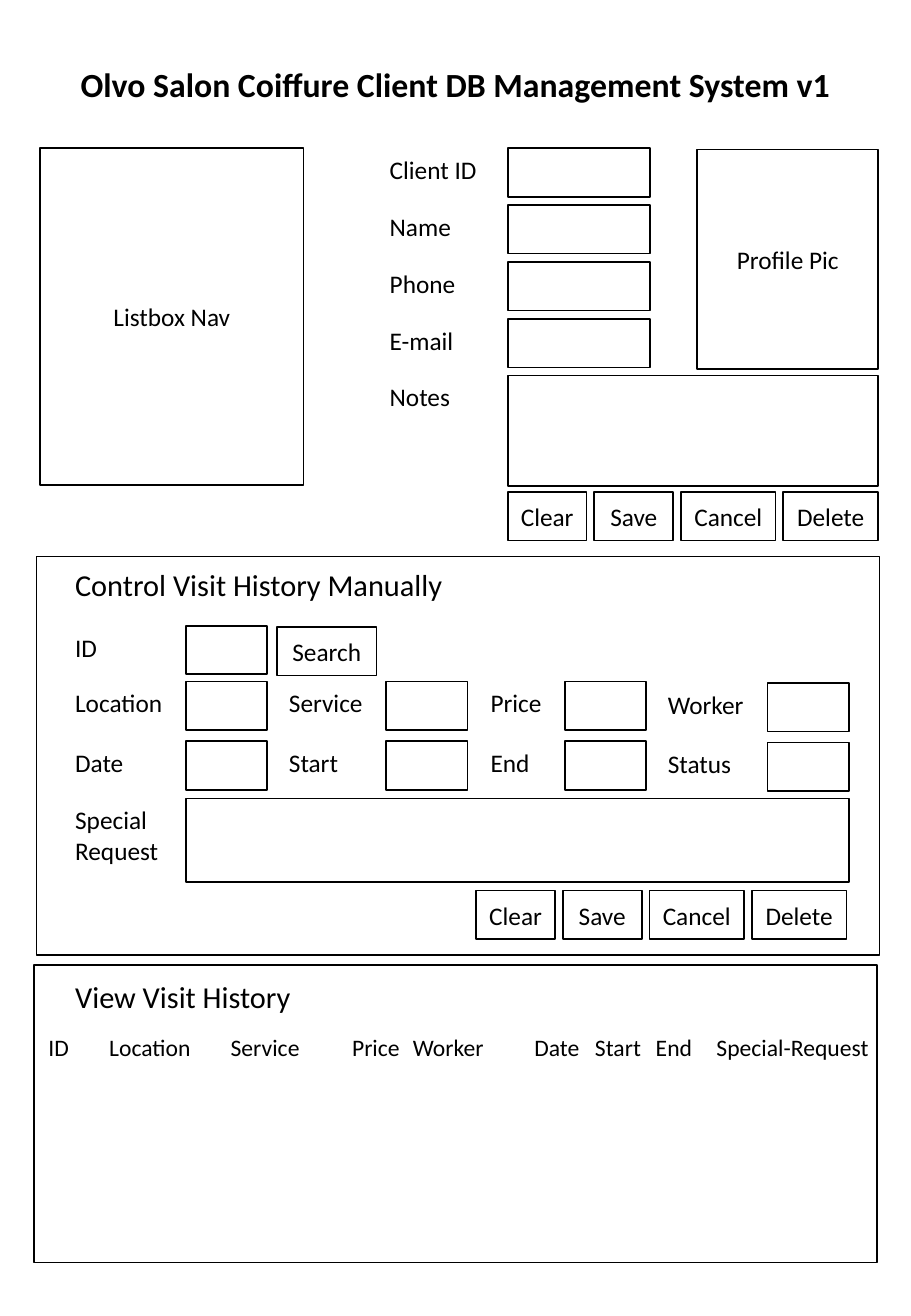
import pptx
import pptx.util
import pptx.dml.color
import pptx.enum.shapes
import pptx.enum.text


def color(value):
    return pptx.dml.color.RGBColor.from_string(value)


class Wireframe:
    """Draws form elements on a slide ruled in 75 columns and 108.3 rows."""

    font, ink, paper = "Calibri", "000000", "FFFFFF"
    columns, rows = 75, 108.3
    box_height, label_height = 4, 3.5

    def __init__(self, prs):
        self.cell_width = prs.slide_width / self.columns
        self.cell_height = prs.slide_height / self.rows
        self.s = prs.slides.add_slide(prs.slide_layouts[5])

    def place(self, x, y, width, height):
        return (round(x * self.cell_width), round(y * self.cell_height),
                round(width * self.cell_width), round(height * self.cell_height))

    def set_text(self, tf, text, size, bold=False, align=None):
        tf.text = text
        for p in tf.paragraphs:
            p.alignment = align
            for r in p.runs:
                r.font.name = self.font
                r.font.size = pptx.util.Pt(size)
                r.font.bold = bold
                r.font.color.rgb = color(self.ink)

    def title(self, text, x, y, width, height):
        sp = self.s.shapes.title
        sp.left, sp.top, sp.width, sp.height = self.place(x, y, width, height)
        tf = sp.text_frame
        self.set_text(tf, text, 20, True, pptx.enum.text.PP_ALIGN.CENTER)
        tf.word_wrap = False
        tf.auto_size = pptx.enum.text.MSO_AUTO_SIZE.NONE
        tf.vertical_anchor = pptx.enum.text.MSO_ANCHOR.MIDDLE

    def box(self, x, y, width, height=box_height, text="", filled=True):
        sp = self.s.shapes.add_shape(
            pptx.enum.shapes.MSO_SHAPE.RECTANGLE, *self.place(x, y, width, height))
        sp.shadow.inherit = False
        if filled:
            sp.fill.solid()
            sp.fill.fore_color.rgb = color(self.paper)
        else:
            sp.fill.background()
        sp.line.color.rgb = color(self.ink)
        sp.line.width = pptx.util.Pt(1)
        if text:
            tf = sp.text_frame
            self.set_text(tf, text, 15, align=pptx.enum.text.PP_ALIGN.CENTER)
            tf.vertical_anchor = pptx.enum.text.MSO_ANCHOR.MIDDLE
            tf.word_wrap = False

    def label(self, text, x, y, width, height=label_height, size=15):
        tf = self.s.shapes.add_textbox(*self.place(x, y, width, height)).text_frame
        self.set_text(tf, text, size)
        tf.word_wrap = False
        tf.auto_size = pptx.enum.text.MSO_AUTO_SIZE.SHAPE_TO_FIT_TEXT

    def buttons(self, x, y):
        for text, width in (("Clear", 6.5), ("Save", 6.5), ("Cancel", 7.8), ("Delete", 7.8)):
            self.box(x, y, width, text=text)
            x += width + 0.63


def draw_client(form):
    form.box(3.3, 12.2, 21.7, 27.7, "Listbox Nav")
    fields = (("Client ID", 9.3), ("Name", 7.1), ("Phone", 7.5), ("E-mail", 7.4))
    for i, (text, width) in enumerate(fields):
        y = 12.2 + 4.68 * i
        form.label(text, 31.1, y, width)
        form.box(41.8, y, 11.7)
    form.box(57.4, 12.3, 14.9, 18.1, "Profile Pic")
    form.label("Notes", 31.1, 30.9, 7)
    form.box(41.8, 30.9, 30.5, 9.1)
    form.buttons(41.8, 40.5)


def draw_visit(form):
    form.box(3, 45.8, 69.4, 32.8, filled=False)
    form.label("Control Visit History Manually", 5.2, 46.1, 32.6, 4, 18)
    form.label("ID", 5.2, 51.5, 3.8)
    form.box(15.3, 51.5, 6.7)
    form.box(22.8, 51.6, 8.2, text="Search")
    columns = ((5.2, 15.3, 0), (22.8, 31.8, 0), (39.4, 46.5, 0), (54, 63.2, 0.1))
    lines = (
        (56.1, (("Location", 9.3), ("Service", 8.2), ("Price", 6.3), ("Worker", 8.3))),
        (61, (("Date", 6), ("Start", 6.1), ("End", 5.3), ("Status", 7.3))),
    )
    for y, fields in lines:
        for (label_x, box_x, drop), (text, width) in zip(columns, fields):
            form.label(text, label_x, y + drop, width)
            form.box(box_x, y + drop, 6.7)
    form.label("Special\nRequest", 5.2, 65.7, 8.9, 6.1)
    form.box(15.3, 65.7, 54.6, 6.9)
    form.buttons(39.2, 73.3)


def draw_history(form):
    form.box(2.8, 79.4, 69.4, 24.5, filled=False)
    form.label("View Visit History", 5.2, 80, 20, 4, 18)
    headings = ("ID", "Location", "Service", "Price", "Worker",
                "Date", "Start", "End", "Special-Request")
    form.label("\t".join(headings), 3, 84.5, 70.2, 3.4, 14)


def main():
    prs = pptx.Presentation()
    prs.slide_width = pptx.util.Inches(7.5)
    prs.slide_height = pptx.util.Inches(10.83)
    form = Wireframe(prs)
    form.title("Olvo Salon Coiffure Client DB Management System v1", 5, 4.7, 65, 4.4)
    draw_client(form)
    draw_visit(form)
    draw_history(form)
    prs.save("out.pptx")


if __name__ == "__main__":
    main()
